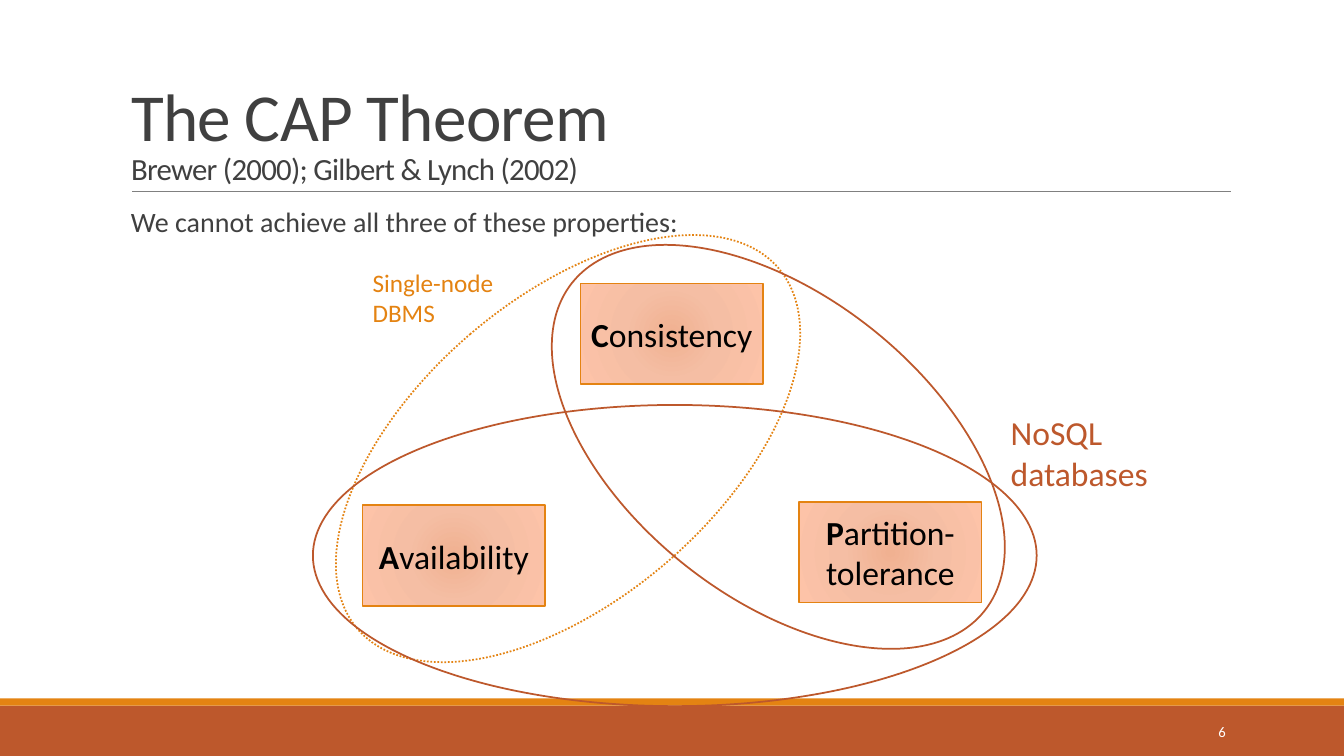
import pptx
import pptx.dml.color
import pptx.enum.dml
import pptx.enum.shapes
import pptx.enum.text
import pptx.oxml
import pptx.oxml.ns
import pptx.util

Cm = pptx.util.Cm
Pt = pptx.util.Pt
Align = pptx.enum.text.PP_ALIGN
Anchor = pptx.enum.text.MSO_ANCHOR
Shape = pptx.enum.shapes.MSO_SHAPE

COLORS = {
    "orange": "E48312",
    "rust": "BD582C",
    "rule": "808080",
    "body": "404040",
    "black": "000000",
    "white": "FFFFFF",
}
GLOW = {0: "F0B191", 45: "F5BEA4", 100: "FDC3A8"}


def rgb(name):
    return pptx.dml.color.RGBColor.from_string(COLORS[name])


def write(frame, paragraphs, size=18, color="black", align=Align.LEFT,
          anchor=Anchor.TOP, wrap=True, line_spacing=None, tracking=None):
    frame.auto_size = pptx.enum.text.MSO_AUTO_SIZE.NONE
    frame.word_wrap = wrap
    frame.vertical_anchor = anchor
    for index, runs in enumerate(paragraphs):
        paragraph = frame.add_paragraph() if index else frame.paragraphs[0]
        paragraph.alignment = align
        if line_spacing:
            paragraph.line_spacing = line_spacing
        for words, changes in runs:
            for number, line in enumerate(words.split("\n")):
                if number:
                    paragraph.add_line_break()
                if not line:
                    continue
                run = paragraph.add_run()
                run.text = line
                run.font.name = "Calibri"
                run.font.size = Pt(changes.get("size", size))
                run.font.bold = changes.get("bold", False)
                run.font.color.rgb = rgb(color)
                if tracking:
                    run._r.get_or_add_rPr().set("spc", str(round(tracking * 100)))


class Deck:
    def __init__(self, width, height):
        self.presentation = pptx.Presentation()
        self.presentation.slide_width = Cm(width)
        self.presentation.slide_height = Cm(height)
        self.slide = self.presentation.slides.add_slide(self.presentation.slide_layouts[5])

    def title(self, box, runs, **style):
        heading = self.slide.shapes.title
        heading.left, heading.top, heading.width, heading.height = map(Cm, box)
        write(heading.text_frame, [runs], **style)

    def label(self, box, paragraphs, inset=0.25, **style):
        area = self.slide.shapes.add_textbox(*map(Cm, box))
        area.text_frame.margin_left = area.text_frame.margin_right = Cm(inset)
        write(area.text_frame, paragraphs, **style)

    def shape(self, kind, box, fill=None, line=None, weight=1.0):
        figure = self.slide.shapes.add_shape(kind, *map(Cm, box))
        figure.shadow.inherit = False
        if fill:
            figure.fill.solid()
            figure.fill.fore_color.rgb = rgb(fill)
        else:
            figure.fill.background()
        if line:
            figure.line.color.rgb = rgb(line)
            figure.line.width = Pt(weight)
        else:
            figure.line.fill.background()
        return figure

    def rule(self, left, right, y):
        line = self.slide.shapes.add_connector(
            pptx.enum.shapes.MSO_CONNECTOR.STRAIGHT, Cm(left), Cm(y), Cm(right), Cm(y))
        line.line.color.rgb = rgb("rule")
        line.line.width = Pt(0.5)
        line._element.spPr.append(pptx.oxml.parse_xml(
            f'<a:effectLst {pptx.oxml.ns.nsdecls("a")}/>'))

    def property_box(self, left, top, name):
        card = self.shape(Shape.RECTANGLE, (left, top, 4.6, 2.54), line="orange")
        stops = "".join(
            f'<a:gs pos="{place * 1000}"><a:srgbClr val="{color}"/></a:gs>'
            for place, color in GLOW.items())
        glow = pptx.oxml.parse_xml(
            f'<a:gradFill {pptx.oxml.ns.nsdecls("a")} rotWithShape="1"><a:gsLst>{stops}</a:gsLst>'
            '<a:path path="circle"><a:fillToRect l="100000" t="100000" r="100000" b="100000"/>'
            '</a:path></a:gradFill>')
        properties = card._element.spPr
        properties.replace(properties.find(pptx.oxml.ns.qn("a:noFill")), glow)
        write(card.text_frame, [[(name[0], {"bold": True}), (name[1:], {})]],
              size=24, align=Align.CENTER, anchor=Anchor.MIDDLE)

    def pair_ellipse(self, left, top, height, rotation, color, dotted=False):
        ellipse = self.shape(Shape.OVAL, (left, top, 7.59, height), line=color, weight=1.25)
        ellipse.rotation = rotation
        if dotted:
            ellipse.line.dash_style = pptx.enum.dml.MSO_LINE.ROUND_DOT


def main():
    deck = Deck(33.87, 19.05)
    deck.shape(Shape.RECTANGLE, (0, 17.78, 33.87, 1.27), fill="rust")
    deck.shape(Shape.RECTANGLE, (0, 17.6, 33.87, 0.18), fill="orange")
    deck.rule(3.33, 31.01, 4.83)
    deck.title((3.05, 0.79, 27.94, 4.04),
               [("The CAP Theorem\n", {}),
                ("Brewer (2000); Gilbert & Lynch (2002)", {"size": 22})],
               size=48, color="body", anchor=Anchor.BOTTOM, line_spacing=0.85, tracking=-0.5)
    deck.label((3.3, 5.13, 27.69, 11.18),
               [[("We cannot achieve all three of these properties:", {})]],
               inset=0, size=20, color="body", line_spacing=0.9)
    deck.label((27.51, 17.93, 3.63, 1.02), [[("6", {})]],
               size=10.5, color="white", align=Align.RIGHT, anchor=Anchor.MIDDLE)

    for left, top, name in (
        (14.63, 7.14, "Consistency"),
        (9.14, 12.73, "Availability"),
        (20.14, 12.65, "Partition-tolerance"),
    ):
        deck.property_box(left, top, name)

    deck.pair_ellipse(10.52, 4.32, 13.97, 49.4, "orange", dotted=True)
    deck.pair_ellipse(13.21, 4.88, 18.24, 90, "rust")
    deck.label((25.22, 10.26, 4.01, 2.31), [[("NoSQL", {})], [("databases", {})]],
               size=24, color="rust", wrap=False)
    deck.label((9.14, 6.6, 3.61, 1.8), [[("Single-node\nDBMS", {})]],
               size=18, color="orange", wrap=False)
    deck.pair_ellipse(15.82, 4.62, 13.28, 308.5, "rust")
    deck.presentation.save("out.pptx")


if __name__ == "__main__":
    main()
